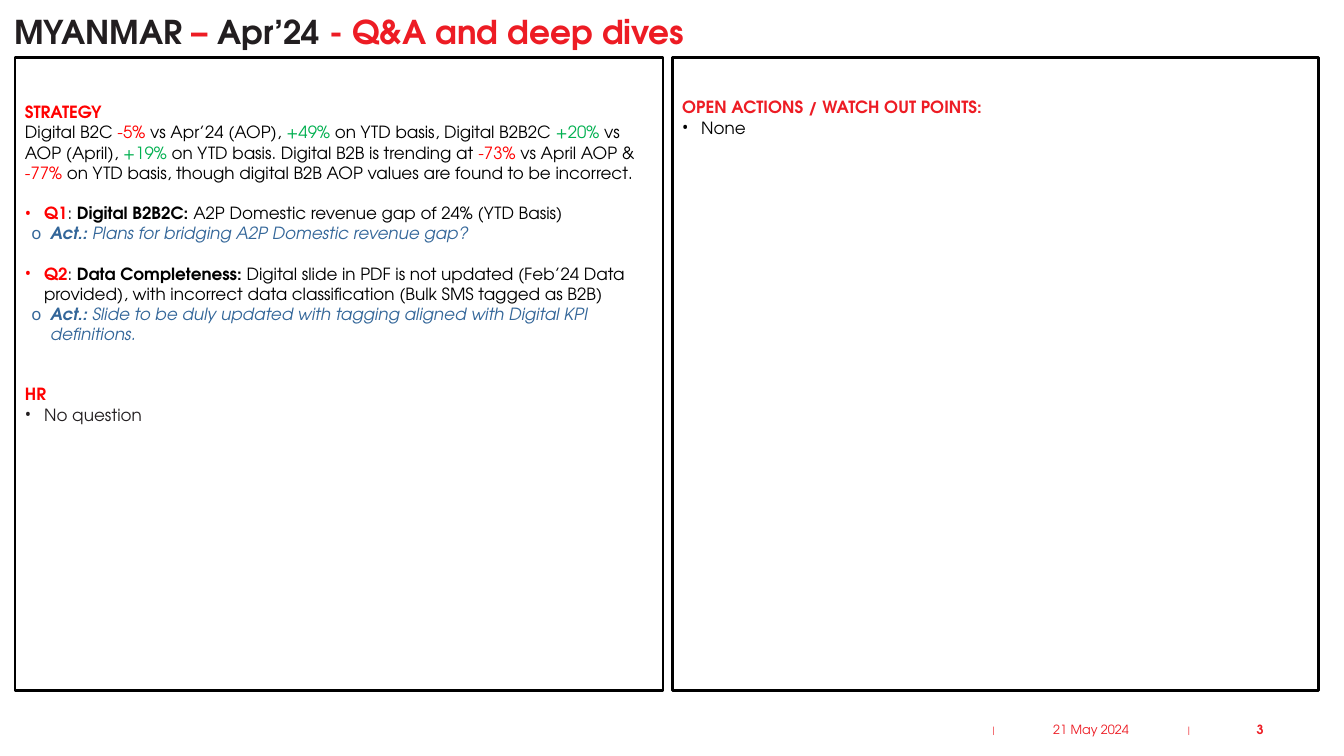
from lxml import etree
from pptx import Presentation
from pptx.dml.color import RGBColor
from pptx.enum.shapes import MSO_SHAPE
from pptx.enum.text import MSO_ANCHOR, MSO_AUTO_SIZE, PP_ALIGN
from pptx.oxml.ns import qn
from pptx.util import Cm, Pt

RECT = MSO_SHAPE.RECTANGLE
TOP, MIDDLE = MSO_ANCHOR.TOP, MSO_ANCHOR.MIDDLE
LEFT, CENTER, RIGHT = PP_ALIGN.LEFT, PP_ALIGN.CENTER, PP_ALIGN.RIGHT
FONT, SYMBOL_FONT = "TeX Gyre Adventor", "Noto Sans"
BRAND, INK = "ED1C24", "221E20"
BODY_SIZE = 12
BLANK_LINE = 14.4

# Run formats: colour and font attributes
STYLES = {
    "plain": ("000000", {}),
    "strong": ("000000", {"bold": True}),
    "down": ("FF0000", {}),
    "up": ("00B050", {}),
    "head": ("FF0000", {"bold": True}),
    "brand": (BRAND, {}),
    "brand_head": (BRAND, {"bold": True}),
    "ink": (INK, {}),
    "ink_head": (INK, {"bold": True}),
    "action": ("336699", {"italic": True}),
    "action_head": ("336699", {"italic": True, "bold": True}),
}

# Paragraph levels: bullet, left margin and hanging indent in cm
LEVELS = {"text": None, "point": ("•", 0.48, 0.48), "action": ("o", 0.64, 0.48)}

# Paragraphs: level, blank lines before, runs
STRATEGY_AND_HR = [
    ("text", 0, [("STRATEGY", "head")]),
    ("text", 0, [
        ("Digital B2C ", "plain"), ("-5%", "down"),
        (" vs Apr’24 (AOP), ", "plain"), ("+49%", "up"),
        (" on YTD basis, Digital B2B2C ", "plain"), ("+20%", "up"),
        (" vs AOP (April), ", "plain"), ("+19%", "up"),
        (" on YTD basis. Digital B2B is trending at ", "plain"), ("-73%", "down"),
        (" vs April AOP & ", "plain"), ("-77%", "down"),
        (" on YTD basis, though digital B2B AOP values are found to be incorrect.", "plain")]),
    ("point", 1, [
        ("Q1", "head"), (": ", "plain"), ("Digital B2B2C: ", "strong"),
        ("A2P Domestic revenue gap of 24% (YTD Basis)", "plain")]),
    ("action", 0, [
        ("Act.: ", "action_head"),
        ("Plans for bridging A2P Domestic revenue gap?", "action")]),
    ("point", 1, [
        ("Q2", "head"), (": ", "plain"), ("Data Completeness:", "strong"),
        (" Digital slide in PDF is not updated (Feb’24 Data provided), with incorrect "
         "data classification (Bulk SMS tagged as B2B)", "plain")]),
    ("action", 0, [
        ("Act.: ", "action_head"),
        ("Slide to be duly updated with tagging aligned with Digital KPI definitions.",
         "action")]),
    ("text", 2, [("HR", "head")]),
    ("point", 0, [("No question", "ink")]),
]
OPEN_ACTIONS = [
    ("text", 0, [("OPEN ACTIONS / WATCH OUT POINTS:", "brand_head")]),
    ("point", 0, [("None", "plain")]),
]
TITLE = [("MYANMAR ", "ink_head"), ("– ", "brand_head"),
         ("Apr’24 ", "ink_head"), ("- Q&A and deep dives", "brand_head")]


def rgb(value):
    return RGBColor.from_string(value)


def set_frame(tf, **values):
    values = {"word_wrap": True, "auto_size": MSO_AUTO_SIZE.NONE, **values}
    for name, value in values.items():
        setattr(tf, name, value)


def add_runs(p, runs, size, font=FONT):
    for text, style in runs:
        colour, attributes = STYLES[style]
        r = p.add_run()
        r.text = text
        r.font.color.rgb = rgb(colour)
        values = {"name": font, "size": Pt(size), "bold": False, **attributes}
        for name, value in values.items():
            setattr(r.font, name, value)


def add_bullet(p, char, margin, hanging):
    pPr = p._p.get_or_add_pPr()
    pPr.set("marL", str(Cm(margin)))
    pPr.set("indent", str(-Cm(hanging)))
    etree.SubElement(pPr, qn("a:buFont")).set("typeface", SYMBOL_FONT)
    etree.SubElement(pPr, qn("a:buChar")).set("char", char)


def place_title(s, left, top, width, height):
    sp = s.shapes.title
    box = {"left": left, "top": top, "width": width, "height": height}
    for name, value in box.items():
        setattr(sp, name, Cm(value))
    set_frame(sp.text_frame, vertical_anchor=MIDDLE, margin_left=0)
    p = sp.text_frame.paragraphs[0]
    p.alignment, p.line_spacing = LEFT, 0.9
    add_runs(p, TITLE, 23.4)


def add_panel(s, left, top, width, height, text_top, paragraphs):
    """Add a framed box whose text starts text_top cm below its upper edge."""
    sp = s.shapes.add_shape(RECT, Cm(left), Cm(top), Cm(width), Cm(height))
    sp.shadow.inherit = False
    sp.fill.solid()
    sp.fill.fore_color.rgb = rgb("FFFFFF")
    sp.line.color.rgb = rgb("000000")
    sp.line.width = Pt(2)
    tf = sp.text_frame
    set_frame(tf, vertical_anchor=TOP, margin_top=Cm(text_top))
    for i, (level, blank_lines, runs) in enumerate(paragraphs):
        p = tf.add_paragraph() if i else tf.paragraphs[0]
        p.alignment = LEFT
        p.space_before = Pt(blank_lines * BLANK_LINE)
        add_runs(p, runs, BODY_SIZE)
        if LEVELS[level]:
            add_bullet(p, *LEVELS[level])


def add_footer(s, left, top, height):
    """Add separators, date and page number; offsets are from the left edge."""
    items = [
        (0, 0.89, "|", "brand", 6, SYMBOL_FONT, CENTER),
        (4.93, 0.89, "|", "brand", 6, SYMBOL_FONT, CENTER),
        (0.48, 4.85, "21 May 2024", "brand", 9, FONT, CENTER),
        (5.33, 2.18, "3", "brand_head", 9, FONT, RIGHT),
    ]
    for offset, width, text, style, size, font, align in items:
        sp = s.shapes.add_textbox(Cm(left + offset), Cm(top), Cm(width), Cm(height))
        set_frame(sp.text_frame, vertical_anchor=MIDDLE)
        p = sp.text_frame.paragraphs[0]
        p.alignment = align
        add_runs(p, [(text, style)], size, font)


def main():
    prs = Presentation()
    prs.slide_width, prs.slide_height = Cm(33.87), Cm(19.05)
    s = prs.slides.add_slide(prs.slide_layouts.get_by_name("Title Only"))
    place_title(s, 0.36, 0.28, 33.45, 1.14)
    add_panel(s, 0.38, 1.45, 16.33, 15.95, 1.12, STRATEGY_AND_HR)
    add_panel(s, 16.94, 1.45, 16.28, 15.95, 1, OPEN_ACTIONS)
    add_footer(s, 24.59, 17.88, 1.02)
    prs.save("out.pptx")


if __name__ == "__main__":
    main()
